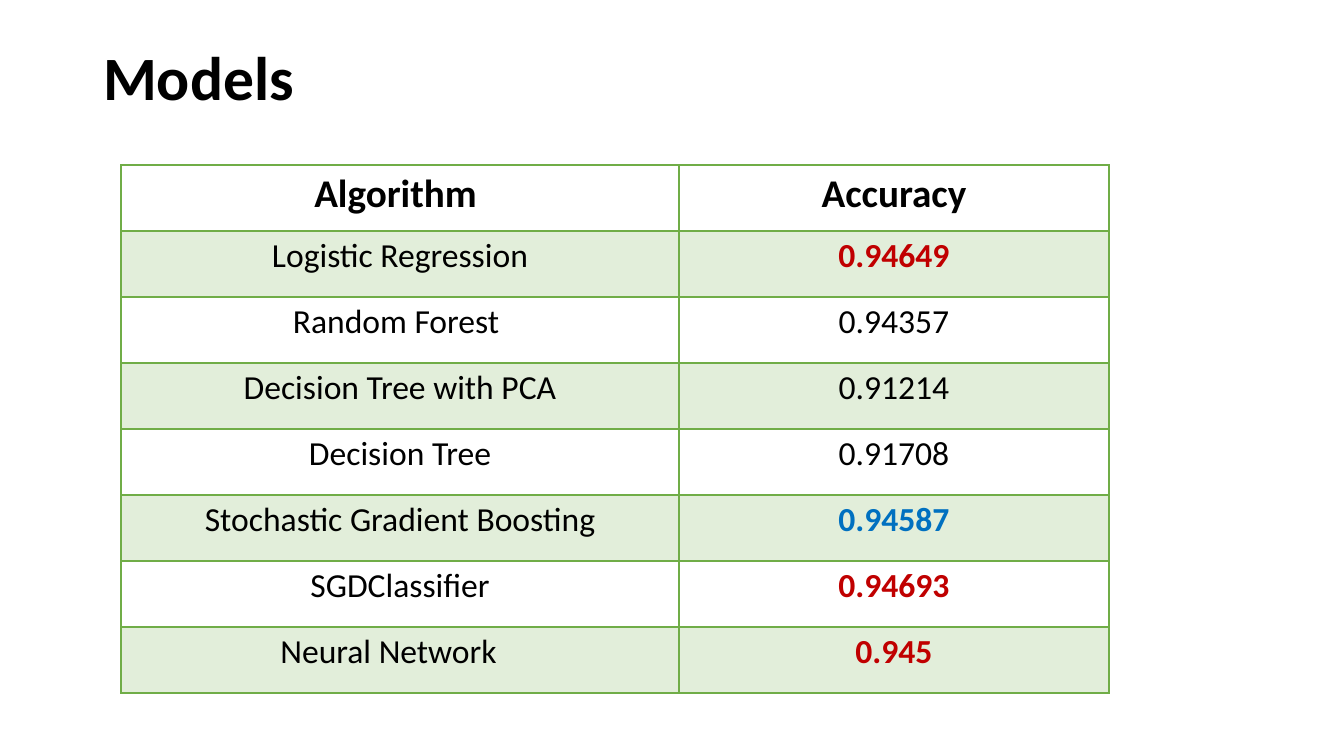
from dataclasses import dataclass

from lxml import etree
from pptx import Presentation
from pptx import util as u
from pptx.dml.color import RGBColor
from pptx.enum import text
from pptx.oxml.ns import qn

EMU_PER_PX = 914400 / 100.8
FONT = "Calibri"
COLORS = {
    "ink": "000000",
    "green": "70AD47",
    "best": "C00000",
    "runner_up": "0070C0",
}
ROW_HEIGHT = 66
COLUMN_WIDTHS = (558, 430)
CELL_MARGIN = 10


@dataclass(frozen=True)
class Model:
    algorithm: str
    accuracy: str
    accent: str = "ink"
    inset: int = 0


HEADER = Model("Algorithm", "Accuracy", inset=9)
MODELS = [
    Model("Logistic Regression", "0.94649", "best"),
    Model("Random Forest", "0.94357", inset=8),
    Model("Decision Tree with PCA", "0.91214"),
    Model("Decision Tree", "0.91708"),
    Model("Stochastic Gradient Boosting", "0.94587", "runner_up"),
    Model("SGDClassifier", "0.94693", "best"),
    Model("Neural Network", "0.945", "best", inset=23),
]


def px(length: int) -> u.Emu:
    return u.Emu(round(length * EMU_PER_PX))


def add_run(paragraph, wording: str, size: int, color: str, bold: bool) -> None:
    run = paragraph.add_run()
    run.text = wording
    run.font.name = FONT
    run.font.size = u.Pt(size)
    run.font.bold = bold
    run.font.color.rgb = RGBColor.from_string(COLORS[color])


def add_border(cell, side: str, points: int) -> None:
    properties = cell._tc.get_or_add_tcPr()
    line = etree.SubElement(properties, qn(f"a:ln{side}"), w=str(u.Pt(points)))
    fill = etree.SubElement(line, qn("a:solidFill"))
    etree.SubElement(fill, qn("a:srgbClr"), val=COLORS["green"])


def tint(cell) -> None:
    cell.fill.solid()
    cell.fill.fore_color.rgb = RGBColor.from_string(COLORS["green"])
    color = cell._tc.tcPr.find(qn("a:solidFill")).find(qn("a:srgbClr"))
    etree.SubElement(color, qn("a:alpha"), val="20000")


def fill_cell(cell, row: int, wording: str, color: str, inset: int) -> None:
    is_header = row == 0
    cell.margin_right = px(CELL_MARGIN + inset)
    for side in "LRTB":
        under_header = (row, side) in ((0, "B"), (1, "T"))
        add_border(cell, side, 2 if under_header else 1)
    if row % 2:
        tint(cell)
    else:
        cell.fill.background()
    paragraph = cell.text_frame.paragraphs[0]
    paragraph.alignment = text.PP_ALIGN.CENTER
    add_run(paragraph, wording, 28 if is_header else 24, color,
            is_header or color != "ink")


def add_title(slide, wording: str) -> None:
    title = slide.shapes.title
    title.left, title.top, title.width, title.height = map(px, (93, 15, 1159, 131))
    title.text_frame.vertical_anchor = text.MSO_ANCHOR.MIDDLE
    paragraph = title.text_frame.paragraphs[0]
    paragraph.alignment = text.PP_ALIGN.LEFT
    paragraph.line_spacing = 0.9
    add_run(paragraph, wording, 44, "ink", True)


def add_accuracy_table(slide) -> None:
    rows = [HEADER, *MODELS]
    table = slide.shapes.add_table(
        len(rows), len(COLUMN_WIDTHS), px(121), px(165),
        px(sum(COLUMN_WIDTHS)), px(ROW_HEIGHT * len(rows))).table
    table.first_row = False
    table.horz_banding = False
    for column, width in zip(table.columns, COLUMN_WIDTHS):
        column.width = px(width)
    for row, model in enumerate(rows):
        table.rows[row].height = px(ROW_HEIGHT)
        fill_cell(table.cell(row, 0), row, model.algorithm, "ink", model.inset)
        fill_cell(table.cell(row, 1), row, model.accuracy, model.accent, 0)


def main() -> None:
    deck = Presentation()
    deck.slide_width, deck.slide_height = px(1344), px(756)
    slide = deck.slides.add_slide(deck.slide_layouts[5])
    add_title(slide, "Models")
    add_accuracy_table(slide)
    deck.save("out.pptx")


if __name__ == "__main__":
    main()
